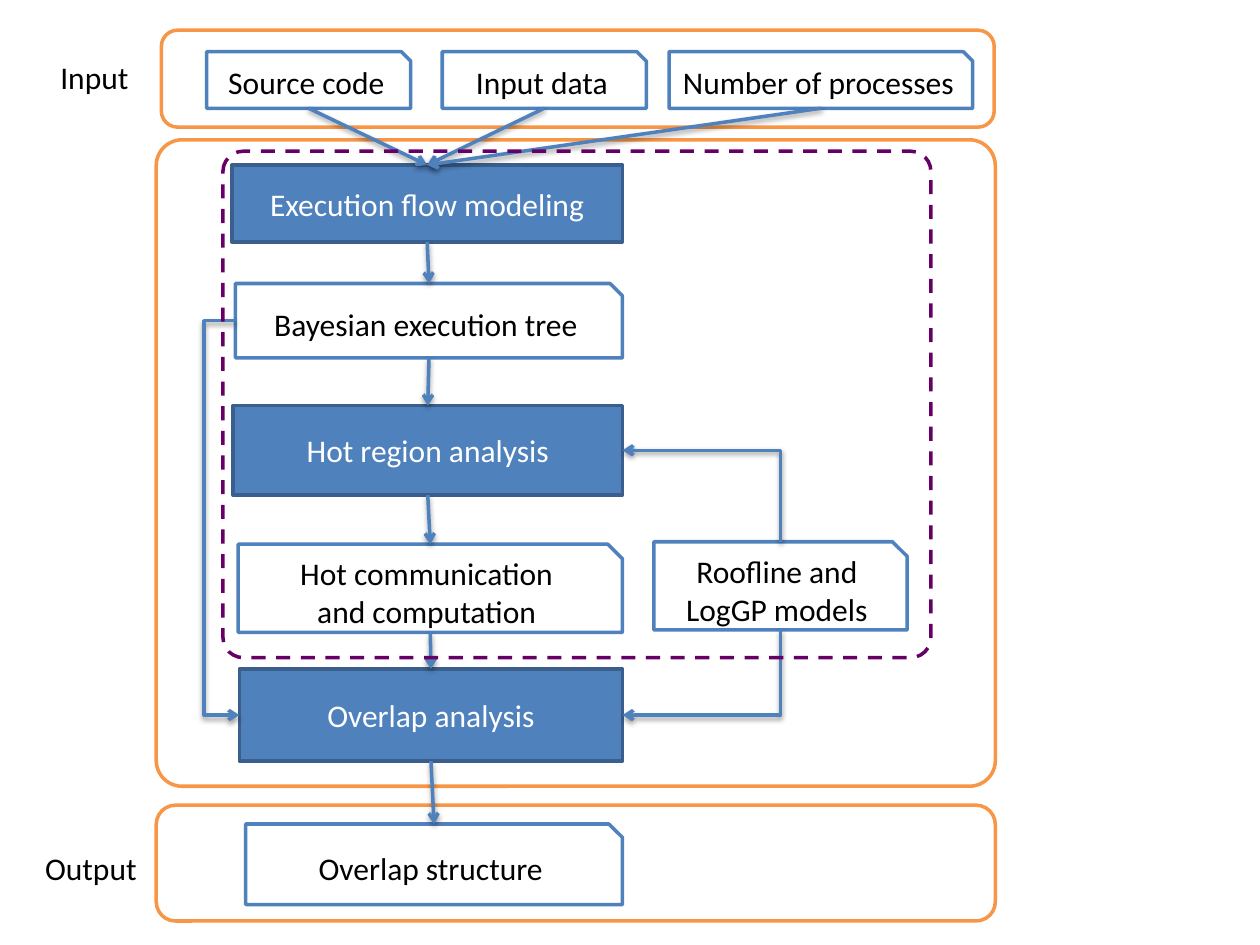
from dataclasses import dataclass

from lxml import etree
from pptx import Presentation
from pptx.dml.color import RGBColor
from pptx.enum.dml import MSO_LINE
from pptx.enum.shapes import MSO_CONNECTOR, MSO_SHAPE
from pptx.enum.text import MSO_ANCHOR, PP_ALIGN
from pptx.oxml import parse_xml
from pptx.oxml.ns import nsdecls, qn
from pptx.util import Pt

ROUNDED, PROCESS, DATA = (MSO_SHAPE.ROUNDED_RECTANGLE, MSO_SHAPE.RECTANGLE,
                          MSO_SHAPE.SNIP_1_RECTANGLE)
STRAIGHT, ELBOW = MSO_CONNECTOR.STRAIGHT, MSO_CONNECTOR.ELBOW
CENTER, MIDDLE, DASH = PP_ALIGN.CENTER, MSO_ANCHOR.MIDDLE, MSO_LINE.DASH


@dataclass(frozen=True)
class Theme:
    """Colours and type of the flow chart."""
    blue: str = "4F81BD"
    dark_blue: str = "3A5F8C"
    orange: str = "F79646"
    purple: str = "660066"
    white: str = "FFFFFF"
    black: str = "000000"
    font: str = "Calibri"
    size: float = 18
    line: float = 2


THEME = Theme()
COLUMN_RIGHT = 355.7
INPUT_TOP, INPUT_HEIGHT = 29.5, 32.4
BYPASS_X = 116.6
# Name: left, top, height of the boxes that share one right edge
COLUMN = {
    "Execution flow modeling": (PROCESS, 132.5, 94.3, 43.9),
    "Bayesian execution tree": (DATA, 134.6, 162, 42.5),
    "Hot region analysis": (PROCESS, 133.2, 231.8, 51.1),
    "Hot communication\nand computation": (DATA, 136.1, 311, 50.4),
    "Overlap analysis": (PROCESS, 136.8, 382.3, 52.6),
    "Overlap structure": (DATA, 140.4, 470.9, 46.1),
}
INPUTS = {"Source code": (118.1, 116.6), "Input data": (252.7, 116.6),
          "Number of processes": (382.3, 173.5)}


def style_text(frame, text, color):
    """Write text into a frame in the theme font."""
    frame.text = text
    for para in frame.paragraphs:
        for span in para.runs:
            span.font.name = THEME.font
            span.font.size = Pt(THEME.size)
            span.font.color.rgb = RGBColor.from_string(color)


def add_outline(page, kind, area, line, fill=None):
    """Add a preset shape with a coloured outline and optional fill."""
    box = page.shapes.add_shape(kind, *(Pt(value) for value in area))
    box.shadow.inherit = False
    box.line.color.rgb = RGBColor.from_string(line)
    box.line.width = Pt(THEME.line)
    if fill:
        box.fill.solid()
        box.fill.fore_color.rgb = RGBColor.from_string(fill)
    else:
        box.fill.background()
    return box


def add_frame(page, area, line=THEME.orange, fill=THEME.white, radius=None):
    """Add a rounded frame around a stage."""
    frame = add_outline(page, ROUNDED, area, line, fill)
    if radius is not None:
        frame.adjustments[0] = radius
    return frame


def add_step(page, kind, text, area):
    """Add a filled process box or a white data box."""
    if kind == PROCESS:
        line, fill, color = THEME.dark_blue, THEME.blue, THEME.white
    else:
        line, fill, color = THEME.blue, THEME.white, THEME.black
    box = add_outline(page, kind, area, line, fill)
    box.text_frame.word_wrap = True
    box.text_frame.vertical_anchor = MIDDLE
    style_text(box.text_frame, text, color)
    for para in box.text_frame.paragraphs:
        para.alignment = CENTER
    return box


def add_label(page, text, area):
    """Add a stage name beside its frame."""
    label = page.shapes.add_textbox(*(Pt(value) for value in area))
    label.text_frame.word_wrap = False
    style_text(label.text_frame, text, THEME.black)


def anchor(box, side):
    """Return the middle of one side of a box, in points."""
    x, y = {"left": (0, 0.5), "right": (1, 0.5),
            "top": (0.5, 0), "bottom": (0.5, 1)}[side]
    return box.left.pt + x * box.width.pt, box.top.pt + y * box.height.pt


def add_arrow(page, start, end, kind=STRAIGHT):
    """Add a connector with an open arrowhead and a soft shadow."""
    arrow = page.shapes.add_connector(kind, *(Pt(v) for v in (*start, *end)))
    arrow.line.color.rgb = RGBColor.from_string(THEME.blue)
    arrow.line.width = Pt(THEME.line)
    etree.SubElement(arrow.line._get_or_add_ln(), qn("a:tailEnd"), type="arrow")
    arrow._element.spPr.append(parse_xml(
        f'<a:effectLst {nsdecls("a")}><a:outerShdw blurRad="{Pt(3.1)}" '
        f'dist="{Pt(1.6)}" dir="5400000" rotWithShape="0">'
        f'<a:srgbClr val="{THEME.black}"><a:alpha val="38000"/></a:srgbClr>'
        '</a:outerShdw></a:effectLst>'))
    return arrow


def add_bypass(page, start, end, via_x):
    """Add a three-part elbow that runs down at via_x."""
    arrow = add_arrow(page, start, end, ELBOW)
    guides = arrow._element.spPr.find(qn("a:prstGeom")).get_or_add_avLst()
    bend = round((via_x - start[0]) / (end[0] - start[0]) * 100000)
    etree.SubElement(guides, qn("a:gd"), name="adj1", fmla=f"val {bend}")


def add_corner(page, start, end):
    """Add a one-bend elbow that leaves vertically and turns left."""
    rise, run = abs(end[1] - start[1]), start[0] - end[0]
    center_x, center_y = (start[0] + end[0]) / 2, (start[1] + end[1]) / 2
    upward = end[1] < start[1]
    top, bottom = center_y - run / 2, center_y + run / 2
    if upward:
        top, bottom = bottom, top
    arrow = add_arrow(page, (center_x - rise / 2, top),
                      (center_x + rise / 2, bottom), ELBOW)
    properties = arrow._element.spPr
    properties.find(qn("a:prstGeom")).set("prst", "bentConnector2")
    properties.find(qn("a:xfrm")).set("rot", str((270 if upward else 90) * 60000))


def main():
    """Build the flow chart slide."""
    deck = Presentation()
    deck.slide_width, deck.slide_height = Pt(720), Pt(540)
    page = deck.slides.add_slide(deck.slide_layouts[6])

    add_frame(page, (89.3, 79.9, 479.5, 369.4), radius=0.04)
    add_frame(page, (89.3, 460.1, 479.5, 66.2))
    add_frame(page, (92.2, 17.3, 475.9, 55.4))
    add_label(page, "Input", (27.4, 29.5, 54, 28.8))
    add_label(page, "Output", (18.7, 481.7, 67.7, 28.8))

    steps = [add_step(page, kind, text, (left, top, COLUMN_RIGHT - left, height))
             for text, (kind, left, top, height) in COLUMN.items()]
    flow, tree, region, _, overlap, _ = steps
    models = add_step(page, DATA, "Roofline and LogGP models",
                      (373.7, 309.6, 144.7, 50.4))

    for text, (left, width) in INPUTS.items():
        source = add_step(page, DATA, text, (left, INPUT_TOP, width, INPUT_HEIGHT))
        add_arrow(page, anchor(source, "bottom"), anchor(flow, "top"))
    for upper, lower in zip(steps, steps[1:]):
        add_arrow(page, anchor(upper, "bottom"), anchor(lower, "top"))

    add_bypass(page, anchor(tree, "left"), anchor(overlap, "left"), BYPASS_X)
    add_corner(page, anchor(models, "top"), anchor(region, "right"))
    add_corner(page, anchor(models, "bottom"), anchor(overlap, "right"))

    modeling = add_frame(page, (127.4, 86.4, 404.6, 289.4), THEME.purple,
                         fill=None, radius=0.04)
    modeling.line.dash_style = DASH
    deck.save("out.pptx")


main()
